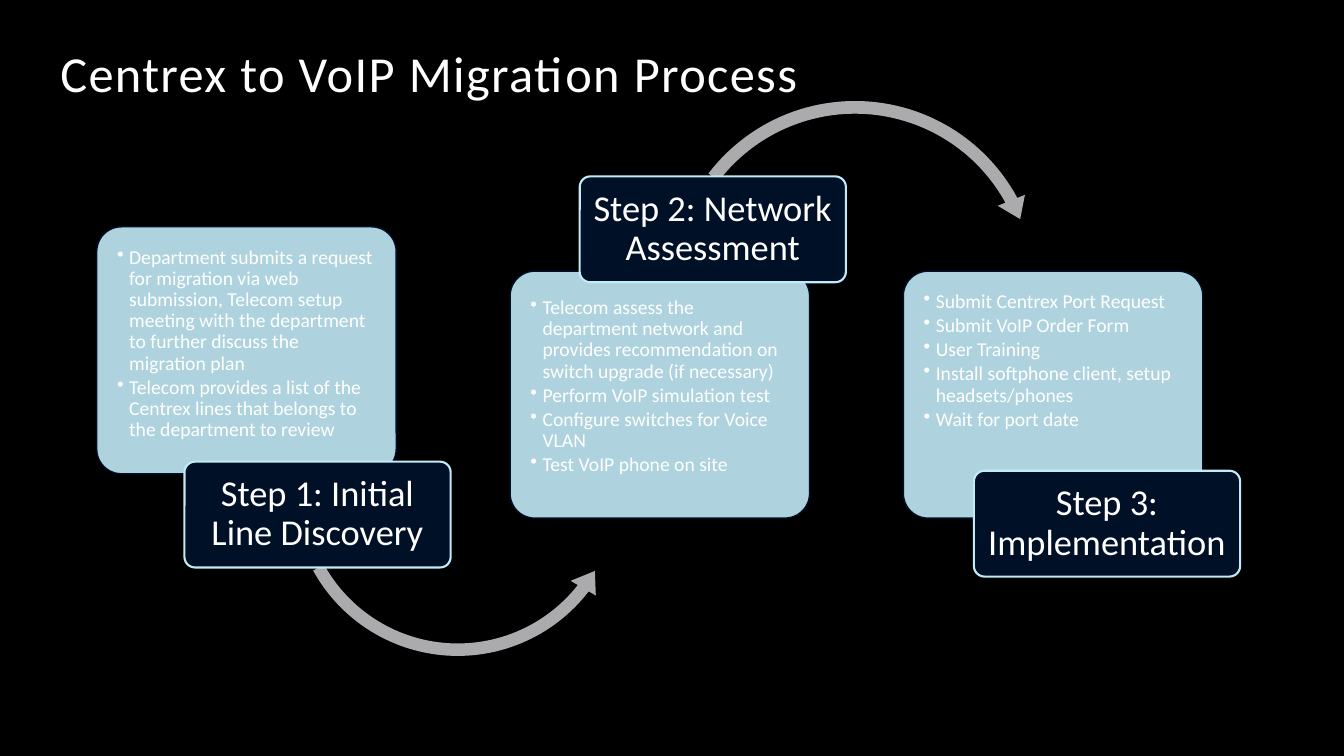
from lxml import etree
from pptx import Presentation
from pptx.dml.color import RGBColor
from pptx.enum.shapes import MSO_SHAPE
from pptx.enum.text import MSO_ANCHOR, PP_ALIGN
from pptx.oxml.ns import qn
from pptx.util import Inches, Pt

BLACK = RGBColor(0x00, 0x00, 0x00)
WHITE = RGBColor(0xFF, 0xFF, 0xFF)
NAVY = RGBColor(0x00, 0x10, 0x27)
ICE = RGBColor(0xC1, 0xEB, 0xF7)
GREY = RGBColor(0xAB, 0xAB, 0xAD)
ROUNDED = MSO_SHAPE.ROUNDED_RECTANGLE
LEFT, CENTER = PP_ALIGN.LEFT, PP_ALIGN.CENTER
TOP, MIDDLE, BOTTOM = MSO_ANCHOR.TOP, MSO_ANCHOR.MIDDLE, MSO_ANCHOR.BOTTOM
CARD_SIZE = (2.97, 2.45)
LABEL_SIZE = (2.64, 1.05)

# Each step: label, label position, card position, card top margin, bullets, arrow to the next step
STEPS = [
    ("Step 1: Initial Line Discovery", (1.83, 4.58), (0.96, 2.25), 0.13,
     ["Department submits a request for migration via web submission, Telecom setup "
      "meeting with the department to further discuss the migration plan",
      "Telecom provides a list of the Centrex lines that belongs to the department to review"],
     (MSO_SHAPE.LEFT_CIRCULAR_ARROW, (2.82, 3.15), 3.44, (0.036, 4.5, 22.672, 90.661, 0.042))),
    ("Step 2: Network Assessment", (5.75, 1.75), (5.06, 2.69), 0.19,
     ["Telecom assess the department network and provides recommendation on "
      "switch upgrade (if necessary)",
      "Perform VoIP simulation test",
      "Configure switches for Voice VLAN",
      "Test VoIP phone on site"],
     (MSO_SHAPE.CIRCULAR_ARROW, (6.57, 0.92), 3.82, (0.033, 4.013, 198.886, 130.41, 0.038))),
    ("Step 3: Implementation", (9.66, 4.67), (8.96, 2.69), 0.13,
     ["Submit Centrex Port Request",
      "Submit VoIP Order Form",
      "User Training",
      "Install softphone client, setup headsets/phones",
      "Wait for port date"],
     None),
]

prs = Presentation()
prs.slide_width, prs.slide_height = Inches(13.33), Inches(7.5)
slide = prs.slides.add_slide(prs.slide_layouts[6])
slide.background.fill.solid()
slide.background.fill.fore_color.rgb = BLACK


def add_block(kind, position, size, adjustments, fill, line=None, line_width=0):
    block = slide.shapes.add_shape(kind, *map(Inches, position + size))
    block.shadow.inherit = False
    for index, value in enumerate(adjustments):
        block.adjustments[index] = value
    block.fill.solid()
    block.fill.fore_color.rgb = fill
    if line is None:
        block.line.fill.background()
    else:
        block.line.color.rgb = line
        block.line.width = Pt(line_width)
    return block


def write(block, lines, size, anchor, align, margins, bulleted=False):
    frame = block.text_frame
    frame.word_wrap = True
    frame.vertical_anchor = anchor
    frame.margin_left = frame.margin_right = Inches(margins[0])
    frame.margin_top = frame.margin_bottom = Inches(margins[1])
    frame.text = "\n".join(lines)
    for paragraph in frame.paragraphs:
        paragraph.alignment = align
        paragraph.line_spacing = 0.9
        if bulleted:
            paragraph.space_after = Pt(2.1)
            properties = paragraph._p.get_or_add_pPr()
            properties.set("marL", str(Inches(0.12)))
            properties.set("indent", str(Inches(-0.12)))
            etree.SubElement(properties, qn("a:buChar")).set("char", "•")
        font = paragraph.runs[0].font
        font.name, font.size, font.color.rgb = "Calibri", Pt(size), WHITE


# Title
title = slide.shapes.add_textbox(Inches(0.5), Inches(0.08), Inches(10), Inches(1))
write(title, ["Centrex to VoIP Migration Process"], 36, BOTTOM, LEFT, (0.1, 0.05))
title.text_frame.paragraphs[0].runs[0].font._element.set("spc", "100")

# Steps: card, arrow to the next step, label on top
for label_text, label_at, card_at, card_margin, bullets, arrow in STEPS:
    card = add_block(ROUNDED, card_at, CARD_SIZE, [0.1], ICE, NAVY, 1)
    card_color = card.fill._xPr.find(qn("a:solidFill"))[0]
    etree.SubElement(card_color, qn("a:alpha")).set("val", "90000")
    write(card, bullets, 14, TOP, LEFT, (0.13, card_margin), bulleted=True)

    if arrow:
        kind, arrow_at, diameter, bend = arrow
        add_block(kind, arrow_at, (diameter, diameter), bend, GREY)

    label = add_block(ROUNDED, label_at, LABEL_SIZE, [0.1], NAVY, ICE, 1.5)
    write(label, [label_text], 26, MIDDLE, CENTER, (0.05, 0.04))

prs.save("out.pptx")
